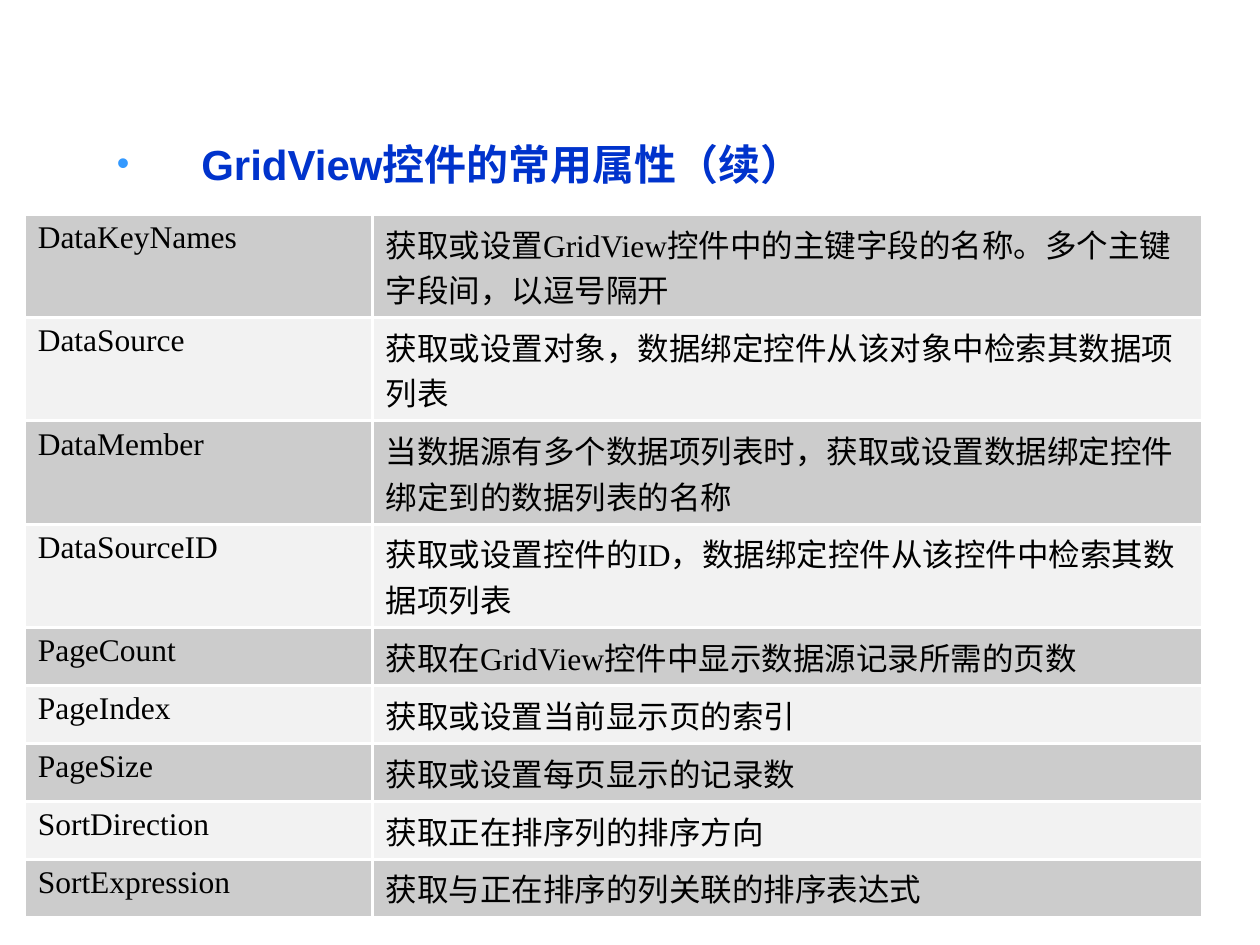
from lxml import etree
from pptx import Presentation
from pptx.dml.color import RGBColor
from pptx.oxml import parse_xml
from pptx.oxml.ns import nsdecls, qn
from pptx.util import Inches, Pt

BLUE = RGBColor(0x00, 0x33, 0xCC)
BULLET_BLUE = RGBColor(0x33, 0x99, 0xFF)
BLACK = RGBColor(0, 0, 0)
WHITE = RGBColor(0xFF, 0xFF, 0xFF)
BANDS = (RGBColor(0xCC, 0xCC, 0xCC), RGBColor(0xF2, 0xF2, 0xF2))

HEADING = "GridView控件的常用属性（续）"
TALL, SHORT = Inches(0.82), Inches(0.46)
PROPERTIES = [
    ("DataKeyNames", "获取或设置GridView控件中的主键字段的名称。多个主键字段间，以逗号隔开", TALL),
    ("DataSource", "获取或设置对象，数据绑定控件从该对象中检索其数据项列表", TALL),
    ("DataMember", "当数据源有多个数据项列表时，获取或设置数据绑定控件绑定到的数据列表的名称", TALL),
    ("DataSourceID", "获取或设置控件的ID，数据绑定控件从该控件中检索其数据项列表", TALL),
    ("PageCount", "获取在GridView控件中显示数据源记录所需的页数", SHORT),
    ("PageIndex", "获取或设置当前显示页的索引", SHORT),
    ("PageSize", "获取或设置每页显示的记录数", SHORT),
    ("SortDirection", "获取正在排序列的排序方向", SHORT),
    ("SortExpression", "获取与正在排序的列关联的排序表达式", SHORT),
]


def style_font(font, name, size, color, bold=False):
    """Set the face, size, colour and weight of a font."""
    font.name, font.size, font.bold = name, Pt(size), bold
    font.color.rgb = color


def add_bullet(paragraph):
    """Give a paragraph its hanging indent, space before and round bullet."""
    props = paragraph._p.get_or_add_pPr()
    props.set("marL", str(Inches(1.17)))
    props.set("indent", str(Inches(-0.67)))
    before = etree.SubElement(props, qn("a:spcBef"))
    etree.SubElement(before, qn("a:spcPct"), val="20000")
    color = etree.SubElement(props, qn("a:buClr"))
    etree.SubElement(color, qn("a:srgbClr"), val=str(BULLET_BLUE))
    etree.SubElement(props, qn("a:buSzPct"), val="85000")
    etree.SubElement(props, qn("a:buFont"), typeface="Arial")
    etree.SubElement(props, qn("a:buChar"), char="•")


def add_heading(slide, left, top, width, height):
    """Place the bulleted heading in the given box."""
    frame = slide.shapes.add_textbox(left, top, width, height).text_frame
    frame.word_wrap = True
    heading = frame.paragraphs[0]
    heading.text = HEADING
    heading.line_spacing = 1.15
    add_bullet(heading)
    style_font(heading.runs[0].font, "Arial", 24, BLUE, True)


def add_borders(cell, sides):
    """Draw white two-point borders on the given sides of a cell."""
    props = cell._tc.get_or_add_tcPr()
    for side in sides:
        props.append(parse_xml(
            f'<a:ln{side} {nsdecls("a")} w="{Pt(2)}"><a:solidFill>'
            f'<a:srgbClr val="{WHITE}"/></a:solidFill></a:ln{side}>'))


def add_property_table(slide, left, top, width, name_width):
    """Place the banded table of property names and descriptions."""
    height = sum(row_height for _, _, row_height in PROPERTIES)
    table = slide.shapes.add_table(
        len(PROPERTIES), 2, left, top, width, height).table
    table.first_row = table.horz_banding = False
    table.columns[0].width = name_width
    table.columns[1].width = width - name_width
    last = len(PROPERTIES) - 1
    for row, (name, description, row_height) in enumerate(PROPERTIES):
        table.rows[row].height = row_height
        for column, wording in enumerate((name, description)):
            cell = table.cell(row, column)
            cell.text_frame.text = wording
            style_font(cell.text_frame.paragraphs[0].runs[0].font,
                       "Times New Roman", 18, BLACK)
            add_borders(cell, "RL"[column] + ("T" if row == last else "TB"))
            cell.fill.solid()
            cell.fill.fore_color.rgb = BANDS[row % 2]


def main():
    """Build and save the slide."""
    deck = Presentation()
    deck.slide_width, deck.slide_height = Inches(10), Inches(7.5)
    slide = deck.slides.add_slide(deck.slide_layouts[6])
    add_heading(slide, Inches(0.33), Inches(0.99), Inches(9.34), Inches(0.63))
    add_property_table(slide, Inches(0.2), Inches(1.7), Inches(9.34), Inches(2.76))
    deck.save("out.pptx")


if __name__ == "__main__":
    main()
